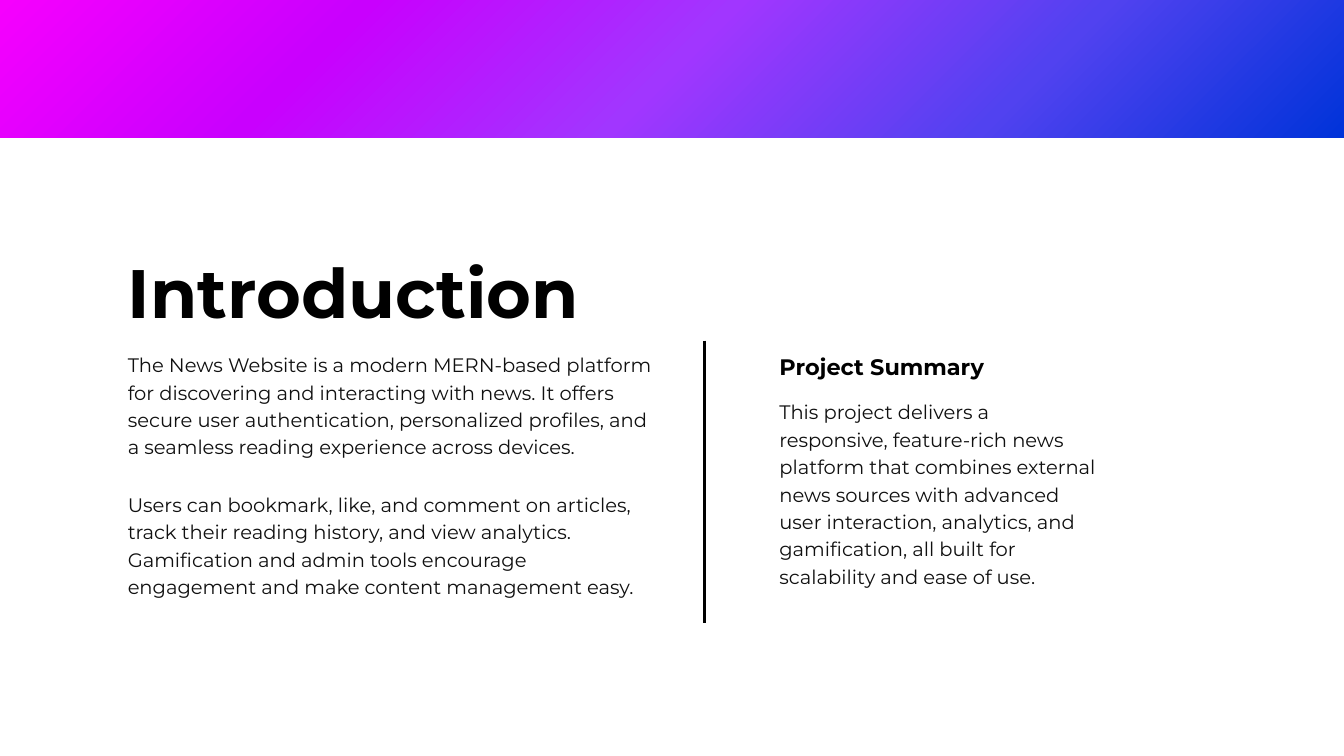
from collections import namedtuple
from dataclasses import dataclass

from lxml import etree
from pptx import Presentation
from pptx.dml.color import RGBColor
from pptx.enum import shapes, text
from pptx.oxml import ns
from pptx.util import Cm, Pt

Box = namedtuple("Box", "x y w h")


@dataclass(frozen=True)
class Theme:
    font: str = "Montserrat"
    ink: str = "000000"
    soft: str = "101010"
    band: tuple = ("F600FE", "C900FE", "A136FF", "5142F0", "0033D9")
    title: tuple = (73.4, 102.8)  # type size, line pitch
    head: tuple = (24, 33.6)
    body: tuple = (20.9, 29.3)
    rule: float = 3


THEME = Theme()

INTRO = (
    "The News Website is a modern MERN-based platform for discovering and "
    "interacting with news. It offers secure user authentication, personalized "
    "profiles, and a seamless reading experience across devices.",
    "Users can bookmark, like, and comment on articles, track their reading "
    "history, and view analytics. Gamification and admin tools encourage "
    "engagement and make content management easy.",
)
SUMMARY = (
    "This project delivers a responsive, feature-rich news platform that "
    "combines external news sources with advanced user interaction, analytics, "
    "and gamification, all built for scalability and ease of use."
)


def write(slide, words, box, style=THEME.body, color=THEME.soft, bold=False):
    shape = slide.shapes.add_textbox(*map(Cm, box))
    frame = shape.text_frame
    frame.word_wrap = True
    frame.auto_size = text.MSO_AUTO_SIZE.SHAPE_TO_FIT_TEXT
    frame.margin_left = frame.margin_right = 0
    frame.margin_top = frame.margin_bottom = 0
    para = frame.paragraphs[0]
    size, pitch = style
    para.line_spacing = Pt(pitch)
    run = para.add_run()
    run.text = words
    run.font.name = THEME.font
    run.font.size = Pt(size)
    run.font.bold = bold
    run.font.color.rgb = RGBColor.from_string(color)


def add_band(slide, box):
    """Draw the header band with evenly spaced diagonal colour stops."""
    band = slide.shapes.add_shape(shapes.MSO_SHAPE.RECTANGLE, *map(Cm, box))
    band.shadow.inherit = False
    band.line.fill.background()
    band.fill.gradient()
    band.fill.gradient_angle = 315
    stops = band.element.spPr.find(".//" + ns.qn("a:gsLst"))
    for old in list(stops):
        stops.remove(old)
    step = 100000 // (len(THEME.band) - 1)
    for i, color in enumerate(THEME.band):
        stop = etree.SubElement(stops, ns.qn("a:gs"), pos=str(i * step))
        etree.SubElement(stop, ns.qn("a:srgbClr"), val=color)


def add_intro(slide, box):
    write(slide, "Introduction", Box(box.x, box.y, 23.32, 3.45),
          style=THEME.title, color=THEME.ink, bold=True)
    for i, words in enumerate(INTRO):
        write(slide, words, Box(box.x, box.y + 4.27 + i * 5.28, box.w, 4.04))


def add_summary(slide, box):
    write(slide, "Project Summary", Box(box.x, box.y, 12.52, 1.09),
          style=THEME.head, color=THEME.ink, bold=True)
    write(slide, SUMMARY, Box(box.x, box.y + 1.81, box.w, box.h - 1.81))


def add_rule(slide, box):
    ends = (box.x, box.y, box.x + box.w, box.y + box.h)
    rule = slide.shapes.add_connector(
        shapes.MSO_CONNECTOR.STRAIGHT, *map(Cm, ends))
    rule.line.width = Pt(THEME.rule)
    rule.line.color.rgb = RGBColor.from_string(THEME.ink)
    etree.SubElement(rule.element.spPr, ns.qn("a:effectLst"))


def main():
    deck = Presentation()
    deck.slide_width, deck.slide_height = Cm(50.8), Cm(28.58)
    slide = deck.slides.add_slide(deck.slide_layouts[6])
    add_summary(slide, Box(29.46, 13.18, 11.99, 9.94))
    add_intro(slide, Box(4.83, 8.94, 19.99, 13.59))
    add_band(slide, Box(0, 0, 50.8, 5.21))
    add_rule(slide, Box(26.62, 12.88, 0, 10.69))
    deck.save("out.pptx")


if __name__ == "__main__":
    main()
